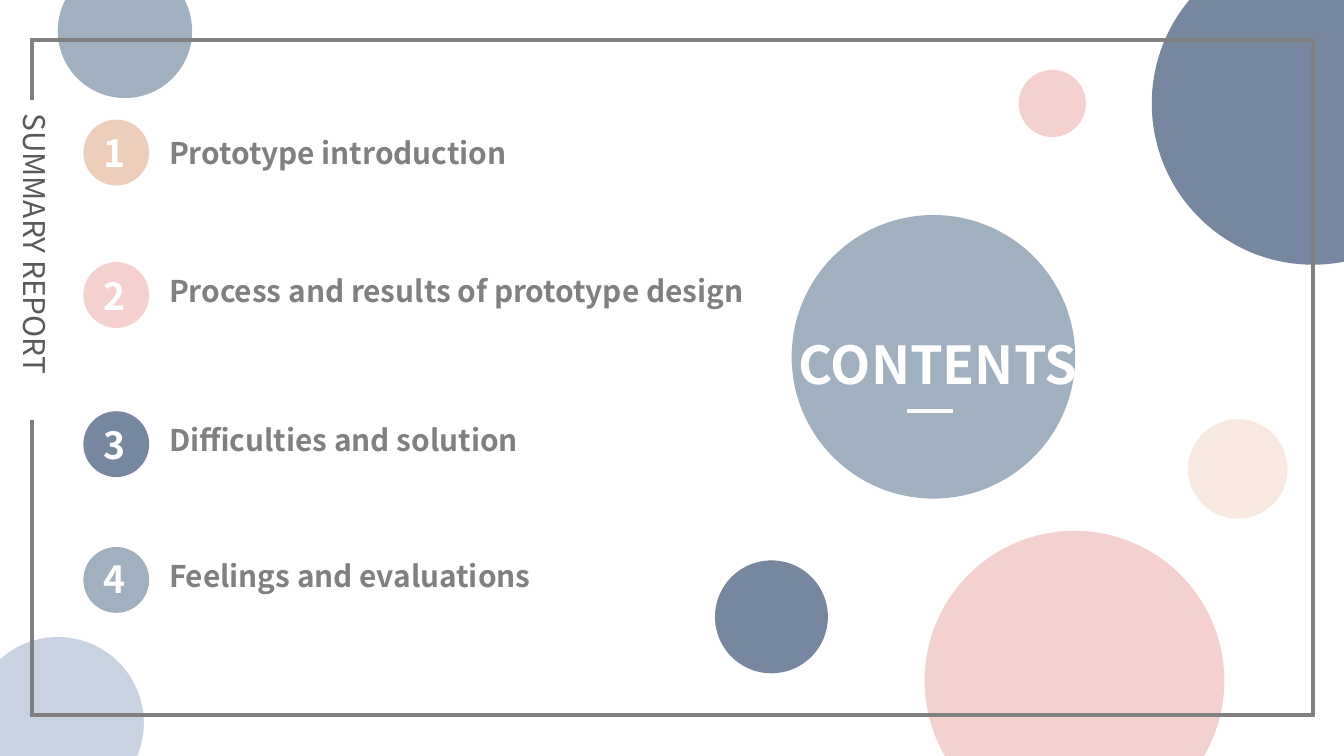
from dataclasses import dataclass
from typing import Any

from lxml.etree import SubElement
from pptx import Presentation
from pptx.dml.color import RGBColor
from pptx.enum.shapes import MSO_CONNECTOR as Link, MSO_SHAPE as Kind
from pptx.enum.text import MSO_ANCHOR as Anchor, MSO_AUTO_SIZE as Fit, PP_ALIGN as Align
from pptx.oxml.ns import qn
from pptx.util import Inches, Pt

FONT = "Noto Sans CJK SC"
WIDE = Inches(10)
BLUE, SLATE, PINK = "A0B0BF", "7787A0", "F4D1CF"
CREAM, PALE, PEACH = "F7E9E0", "C9D2E1", "EDCEBB"
GREY, DARK, WHITE = "808080", "595959", "FFFFFF"


@dataclass
class Disc:
    left: float
    top: float
    size: float
    fill: str


@dataclass
class Label:
    text: str
    left: float
    top: float
    width: float
    height: float
    size: int
    color: str
    bold: bool = True
    wrap: bool = False
    align: Any = Align.CENTER


@dataclass
class Item:
    text: str
    disc_top: float
    num_top: float
    text_top: float
    width: float
    fill: str


DISCS = [
    Disc(5.89, 1.6, 2.11, BLUE),
    Disc(8.57, -0.43, 2.4, SLATE),
    Disc(6.88, 3.95, 2.23, PINK),
    Disc(8.84, 3.12, 0.74, CREAM),
    Disc(0.43, -0.27, 1, BLUE),
    Disc(-0.21, 4.74, 1.28, PALE),
    Disc(5.32, 4.17, 0.84, SLATE),
]
ITEMS = [
    Item("Prototype introduction", 0.89, 0.92, 0.95, 2.9, PEACH),
    Item("Process and results of prototype design", 1.95, 1.98, 1.98, 4.88, PINK),
    Item("Difficulties and solution", 3.06, 3.09, 3.09, 2.9, SLATE),
    Item("Feelings and evaluations", 4.07, 4.09, 4.1, 4.54, BLUE),
]


def tint(code: str) -> RGBColor:
    return RGBColor.from_string(code)


def apply(target: Any, values: dict[str, Any]) -> None:
    for name, value in values.items():
        setattr(target, name, value)


def paint(shape: Any, code: str) -> None:
    shape.fill.solid()
    shape.fill.fore_color.rgb = tint(code)


def stroke(shape: Any, code: str) -> None:
    shape.line.color.rgb = tint(code)
    shape.line.width = Pt(2.25)


def draw_disc(shapes: Any, disc: Disc) -> None:
    box = map(Inches, (disc.left, disc.top, disc.size, disc.size))
    shape = shapes.add_shape(Kind.OVAL, *box)
    shape.shadow.inherit = False
    paint(shape, disc.fill)
    shape.line.fill.background()


def draw_frame(shapes: Any) -> None:
    frame = shapes.add_shape(Kind.RECTANGLE, *map(Inches, (0.24, 0.3, 9.53, 5.02)))
    frame.shadow.inherit = False
    frame.fill.background()
    stroke(frame, GREY)
    SubElement(frame.element.spPr.find(qn("a:ln")), qn("a:miter"), lim="800000")


def write(shape: Any, label: Label) -> None:
    apply(shape, {
        "left": Inches(label.left), "top": Inches(label.top),
        "width": Inches(label.width), "height": Inches(label.height),
    })
    frame = shape.text_frame
    frame.text = label.text
    apply(frame, {
        "word_wrap": label.wrap,
        "auto_size": Fit.SHAPE_TO_FIT_TEXT,
        "vertical_anchor": Anchor.TOP,
    })
    line = frame.paragraphs[0]
    line.alignment = label.align
    font = line.runs[0].font
    apply(font, {"name": FONT, "size": Pt(label.size), "bold": label.bold})
    font.color.rgb = tint(label.color)


def draw_label(shapes: Any, label: Label) -> Any:
    shape = shapes.add_textbox(0, 0, 0, 0)
    write(shape, label)
    return shape


def draw_item(shapes: Any, index: int, item: Item) -> None:
    draw_disc(shapes, Disc(0.62, item.disc_top, 0.49, item.fill))
    draw_label(shapes, Label(str(index), 0.67, item.num_top, 0.37, 0.44, 20, WHITE))
    draw_label(shapes, Label(item.text, 1.16, item.text_top, item.width, 0.37, 16,
                             GREY, wrap=True, align=Align.LEFT))


def draw_rule(shapes: Any) -> None:
    rule = shapes.add_connector(Link.STRAIGHT, *map(Inches, (6.75, 3.06, 7.09, 3.06)))
    stroke(rule, WHITE)
    SubElement(rule.element.spPr, qn("a:effectLst"))


def main() -> None:
    deck = Presentation()
    apply(deck, {"slide_width": WIDE, "slide_height": WIDE * 9 // 16})
    slide = deck.slides.add_slide(deck.slide_layouts[5])
    shapes = slide.shapes
    title = shapes.title
    for disc in DISCS:
        draw_disc(shapes, disc)
    draw_frame(shapes)
    side = draw_label(shapes, Label("SUMMARY REPORT", -0.93, 1.75, 2.38, 0.37, 16,
                                    DARK, bold=False, align=Align.LEFT))
    side.rotation = 90
    paint(side, WHITE)
    draw_disc(shapes, Disc(7.58, 0.52, 0.5, PINK))
    for index, item in enumerate(ITEMS, 1):
        draw_item(shapes, index, item)
    write(title, Label("CONTENTS", 5.79, 2.42, 2.38, 0.57, 28, WHITE))
    title.element.getparent().append(title.element)
    draw_rule(shapes)
    deck.save("out.pptx")


if __name__ == "__main__":
    main()
